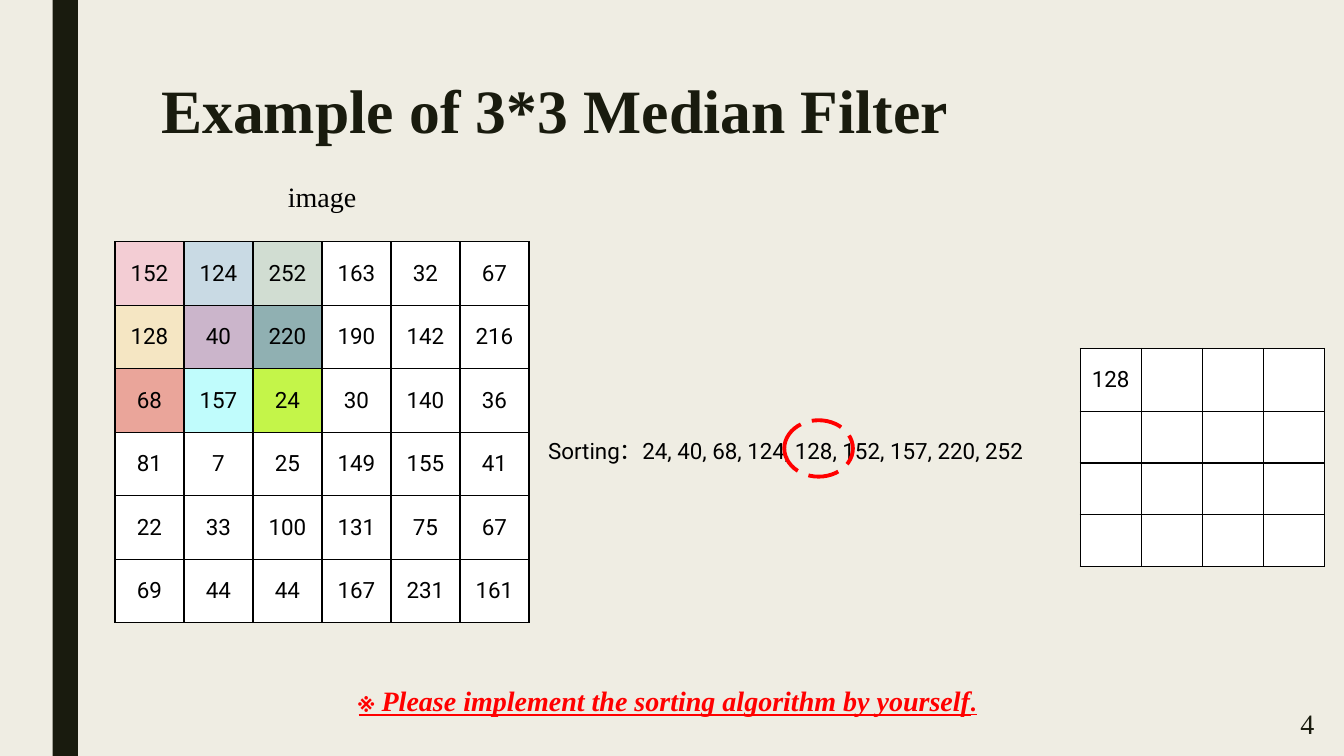
from dataclasses import dataclass

from lxml import etree
from pptx import Presentation
from pptx.dml.color import RGBColor
from pptx.enum import dml, shapes, text
from pptx.oxml import ns
from pptx.util import Pt

COLORS = {
    "paper": "EFEDE3", "ink": "191B0E", "black": "000000", "white": "FFFFFF", "red": "FF0000",
    "pink": "F3CDD4", "sky": "C9DAE4", "sage": "D1DDD2",
    "sand": "F5E6C3", "mauve": "CBB5CB", "teal": "90B0B2",
    "coral": "EAA59A", "cyan": "C0FCFC", "lime": "C4F549",
}
SERIF, SANS = "Times New Roman", "Roboto"
LEFT, CENTER, RIGHT = text.PP_ALIGN.LEFT, text.PP_ALIGN.CENTER, text.PP_ALIGN.RIGHT
TOP, MIDDLE = text.MSO_ANCHOR.TOP, text.MSO_ANCHOR.MIDDLE


@dataclass
class Run:
    text: str
    size: float
    font: str = SERIF
    color: str = "black"
    bold: bool = False
    italic: bool = False
    underline: bool = False


@dataclass
class Label:
    box: tuple[float, float, float, float]
    runs: list[Run]
    align: text.PP_ALIGN = LEFT
    anchor: text.MSO_ANCHOR = TOP
    spacing: float = 1.0


@dataclass
class Grid:
    left: float
    top: float
    col_width: float
    row_heights: list[float]
    values: list[list[int | None]]
    fills: list[list[str]]  # colours of the top-left block; other cells are white


TITLE = Label((108, 54, 756, 116.6),
              [Run("Example of 3*3 Median Filter", 44, color="ink", bold=True)], spacing=0.89)

LABELS = [
    Label((861.8, 504, 84.2, 25.9), [Run("4", 20, color="ink")], RIGHT, MIDDLE),
    Label((384.5, 308.9, 381.6, 26.6),
          [Run("Sorting：24, 40, 68, 124, 128, 152, 157, 220, 252", 16, SANS)]),
    Label((190.8, 124.6, 78.5, 31.7), [Run("image", 20)], CENTER),
    Label((249.1, 473, 473.8, 39.6), [
        Run("※ Please implement the sorting algorithm by yourself", 20, SERIF, "red", True, True, True),
        Run(".", 18, SERIF, "red", True, True, True),
    ], spacing=1.5),
]

GRIDS = [
    Grid(82.1, 172.6, 49.3, [45.36] * 6, [
        [152, 124, 252, 163, 32, 67],
        [128, 40, 220, 190, 142, 216],
        [68, 157, 24, 30, 140, 36],
        [81, 7, 25, 149, 155, 41],
        [22, 33, 100, 131, 75, 67],
        [69, 44, 44, 167, 231, 161],
    ], [["pink", "sky", "sage"], ["sand", "mauve", "teal"], ["coral", "cyan", "lime"]]),
    Grid(771.6, 249, 43.6, [44.8, 37, 37, 37], [[128, None, None, None]] + [[None] * 4] * 3, []),
]


def rgb(name: str) -> RGBColor:
    return RGBColor.from_string(COLORS[name])


def add_run(p, run: Run) -> None:
    r = p.add_run()
    r.text = run.text
    font = r.font
    font.size, font.name = Pt(run.size), run.font
    font.bold, font.italic, font.underline = run.bold, run.italic, run.underline
    font.color.rgb = rgb(run.color)
    for tag in ("a:ea", "a:cs"):
        etree.SubElement(r._r.get_or_add_rPr(), ns.qn(tag), typeface=run.font)


def write_label(sp, label: Label) -> None:
    """Place a text shape and fill it with the label's runs."""
    sp.left, sp.top, sp.width, sp.height = map(Pt, label.box)
    tf = sp.text_frame
    tf.word_wrap = True
    tf.auto_size = text.MSO_AUTO_SIZE.NONE
    tf.vertical_anchor = label.anchor
    p = tf.paragraphs[0]
    p.alignment, p.line_spacing = label.align, label.spacing
    for run in label.runs:
        add_run(p, run)


def add_borders(cell) -> None:
    tc_pr = cell._tc.get_or_add_tcPr()
    for side in ("L", "R", "T", "B"):
        ln = etree.SubElement(tc_pr, ns.qn(f"a:ln{side}"), w=str(Pt(1)))
        fill = etree.SubElement(ln, ns.qn("a:solidFill"))
        etree.SubElement(fill, ns.qn("a:srgbClr"), val=COLORS["black"])


def add_grid(s, grid: Grid) -> None:
    rows, cols = len(grid.values), len(grid.values[0])
    table = s.shapes.add_table(rows, cols, Pt(grid.left), Pt(grid.top),
                               Pt(grid.col_width * cols), Pt(sum(grid.row_heights))).table
    table.first_row = table.horz_banding = False
    for col in table.columns:
        col.width = Pt(grid.col_width)
    for i, values in enumerate(grid.values):
        table.rows[i].height = Pt(grid.row_heights[i])
        for j, value in enumerate(values):
            cell = table.cell(i, j)
            colored = i < len(grid.fills) and j < len(grid.fills[i])
            add_borders(cell)
            cell.fill.solid()
            cell.fill.fore_color.rgb = rgb(grid.fills[i][j] if colored else "white")
            cell.vertical_anchor = MIDDLE
            p = cell.text_frame.paragraphs[0]
            p.alignment = CENTER
            if value is not None:
                add_run(p, Run(str(value), 16, SANS))


def add_side_bar(s) -> None:
    sp = s.shapes.add_shape(shapes.MSO_SHAPE.RECTANGLE, Pt(37.6), 0, Pt(18), Pt(540))
    sp.shadow.inherit = False
    sp.fill.solid()
    sp.fill.fore_color.rgb = rgb("ink")
    sp.line.fill.background()


def add_median_ring(s) -> None:
    sp = s.shapes.add_shape(shapes.MSO_SHAPE.OVAL, Pt(560.2), Pt(300.2), Pt(49), Pt(40.3))
    sp.shadow.inherit = False
    sp.fill.background()
    sp.line.color.rgb = rgb("red")
    sp.line.width = Pt(2.75)
    sp.line.dash_style = dml.MSO_LINE.LONG_DASH


def main() -> None:
    prs = Presentation()
    prs.slide_width, prs.slide_height = Pt(960), Pt(540)
    s = prs.slides.add_slide(prs.slide_layouts[5])
    s.background.fill.solid()
    s.background.fill.fore_color.rgb = rgb("paper")
    add_side_bar(s)
    write_label(s.shapes.title, TITLE)
    for grid in GRIDS:
        add_grid(s, grid)
    for label in LABELS:
        write_label(s.shapes.add_textbox(0, 0, 0, 0), label)
    add_median_ring(s)
    prs.save("out.pptx")


if __name__ == "__main__":
    main()
